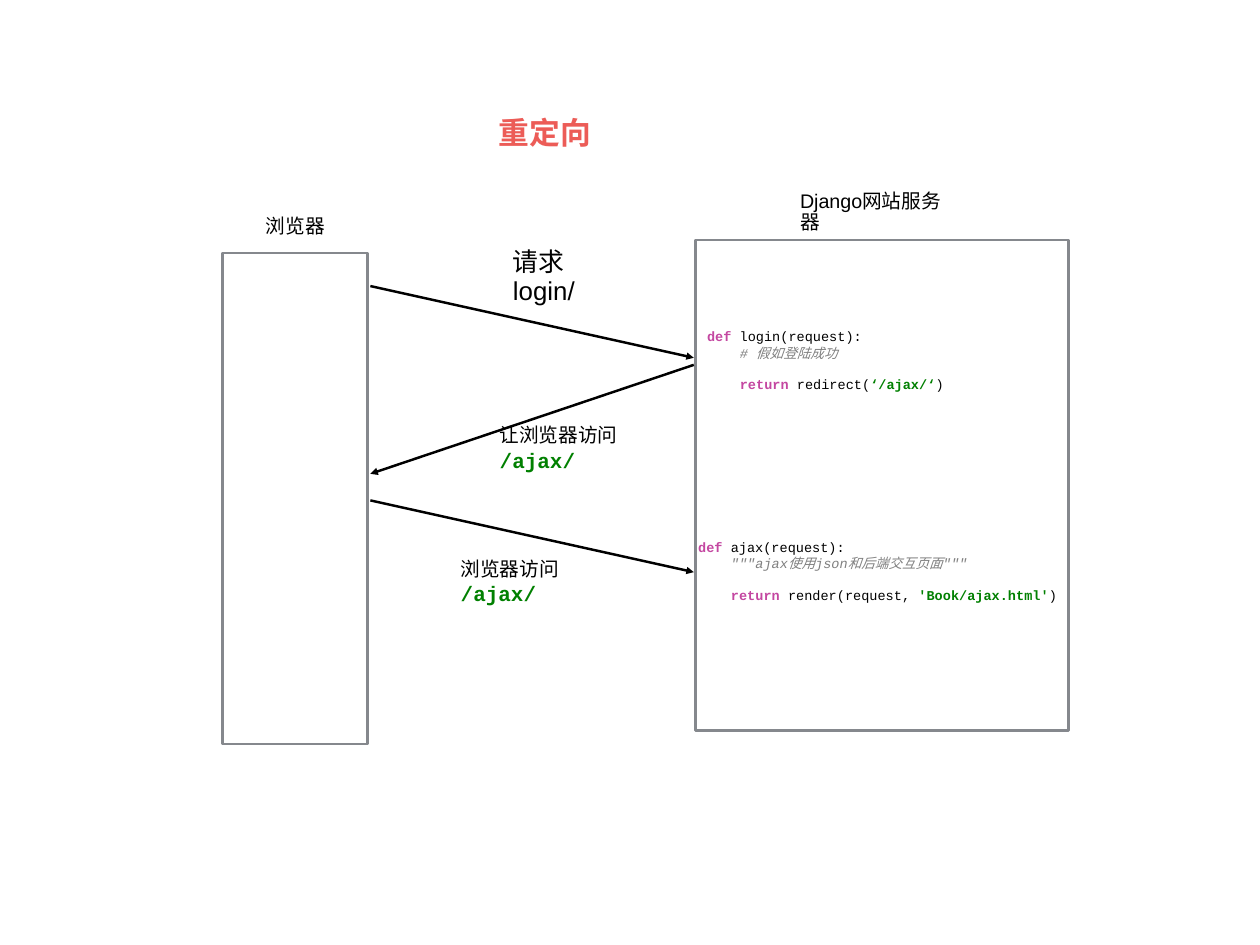
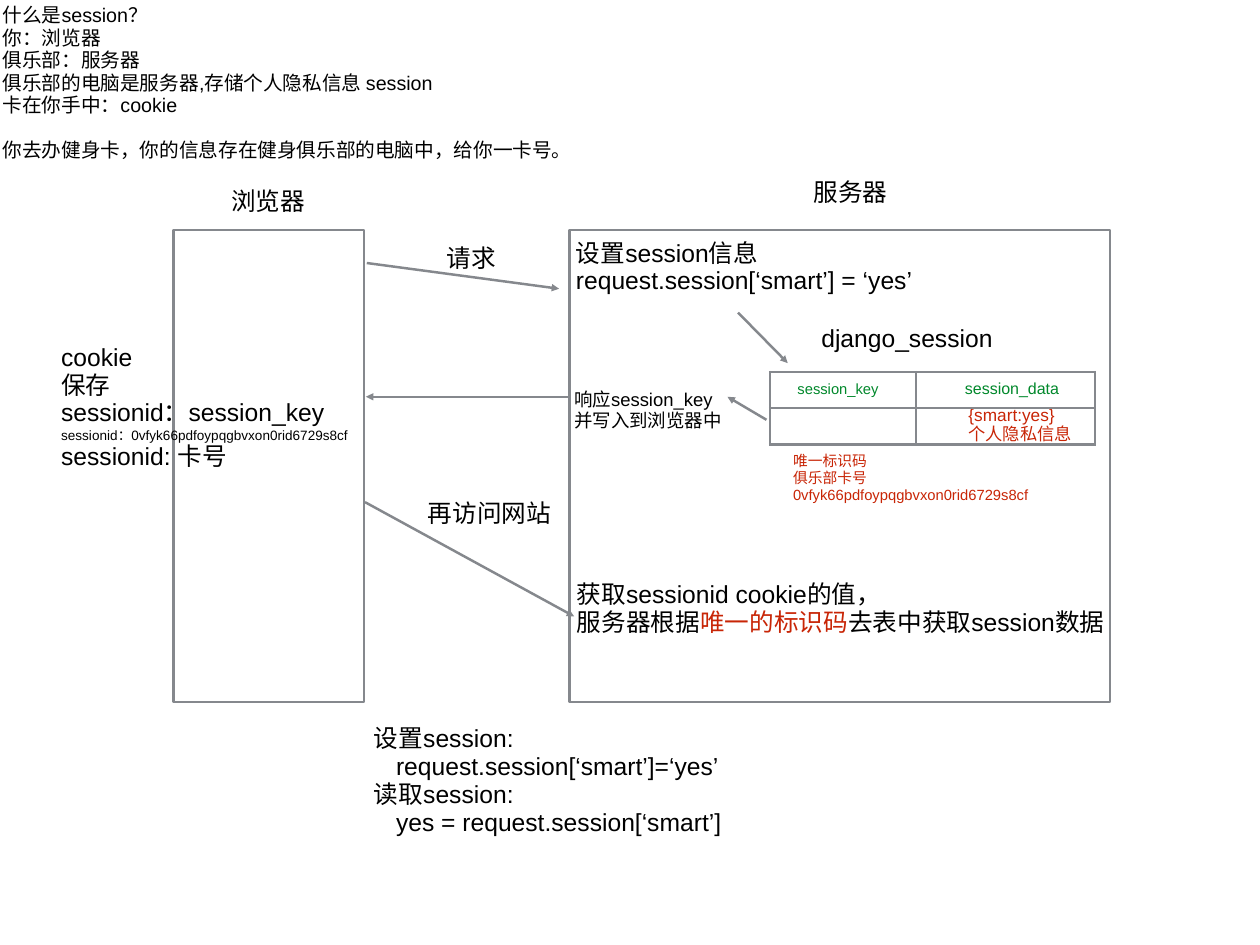
"""Build two slides on web redirects and on session handling."""
from dataclasses import dataclass, replace

from lxml.etree import SubElement
from pptx import Presentation
from pptx.dml.color import RGBColor
from pptx.enum.shapes import MSO_CONNECTOR, MSO_SHAPE
from pptx.enum.text import MSO_ANCHOR, MSO_AUTO_SIZE, PP_ALIGN
from pptx.oxml import parse_xml
from pptx.oxml.ns import nsdecls, qn
from pptx.util import Inches, Pt


@dataclass(frozen=True)
class Theme:
    black: str = "000000"
    grey: str = "85888D"
    title: str = "EC5C57"
    red: str = "C82506"
    header: str = "00882B"
    keyword: str = "C447A1"
    comment: str = "808080"
    string: str = "018001"
    sans: str = "Arial"
    mono: str = "Courier New"
    title_size: int = 25
    request_size: int = 21
    body_size: int = 20
    address_size: int = 17
    label_size: int = 16
    reply_size: int = 15
    value_size: int = 14
    data_size: int = 13
    note_size: int = 12
    code_size: int = 11
    line_width: int = 2
    inset: float = 0.06


THEME = Theme()


@dataclass(frozen=True)
class Style:
    size: int
    color: str = THEME.black
    font: str = THEME.sans
    bold: bool = False
    italic: bool = False


BODY = Style(THEME.body_size)
LABEL = Style(THEME.label_size)
NOTE = Style(THEME.note_size, THEME.red)
CODE = Style(THEME.code_size, font=THEME.mono)
KEYWORD = replace(CODE, color=THEME.keyword, bold=True)
COMMENT = replace(CODE, color=THEME.comment, italic=True)
STRING = replace(CODE, color=THEME.string, bold=True)
ADDRESS = replace(STRING, size=THEME.address_size)


@dataclass(frozen=True)
class Para:
    runs: tuple[tuple[str, Style], ...]
    indent: float = 0
    before: float = 1
    spacing: float = 0.9


@dataclass(frozen=True)
class Box:
    left: float
    top: float
    width: float
    height: float

    def lengths(self) -> tuple:
        return tuple(map(Inches, (self.left, self.top, self.width, self.height)))


@dataclass(frozen=True)
class Arrow:
    start: tuple[float, float]
    end: tuple[float, float]
    color: str = THEME.grey


@dataclass(frozen=True)
class Block:
    box: Box
    paras: list[Para]


def lines(style: Style, *texts: str) -> list[Para]:
    return [Para(((text, style),)) for text in texts]


def code_line(*runs: tuple[str, Style], indent: float = 0, before: float = 0) -> Para:
    return Para(runs, indent, before, 1.0)


def view_code(name: str, remark: str, call: str, argument: str) -> list[Para]:
    return [
        code_line(("def ", KEYWORD), (f"{name}(request):", CODE)),
        code_line((remark, COMMENT), indent=0.37),
        code_line(("return ", KEYWORD), (call, CODE), (argument, STRING), (")", CODE),
                  indent=0.37, before=12.5),
    ]


def set_font(font, style: Style) -> None:
    font.name, font.size = style.font, Pt(style.size)
    font.bold, font.italic = style.bold, style.italic
    font.color.rgb = RGBColor.from_string(style.color)


def write(tf, paras: list[Para]) -> None:
    for i, para in enumerate(paras):
        p = tf.paragraphs[0] if i == 0 else tf.add_paragraph()
        p.alignment = PP_ALIGN.LEFT
        p.line_spacing, p.space_before = para.spacing, Pt(para.before)
        if para.indent:
            pPr = p._p.get_or_add_pPr()
            pPr.set("marL", str(Inches(para.indent)))
            pPr.set("indent", "0")
        uniform = len({style for _, style in para.runs}) == 1
        if uniform:
            set_font(p.font, para.runs[0][1])
        for text, style in para.runs:
            r = p.add_run()
            r.text = text
            if not uniform:
                set_font(r.font, style)


def fill_frame(tf, paras: list[Para]) -> None:
    tf.auto_size, tf.word_wrap = MSO_AUTO_SIZE.NONE, True
    tf.vertical_anchor = MSO_ANCHOR.MIDDLE
    tf.margin_left = tf.margin_top = tf.margin_bottom = Inches(THEME.inset)
    tf.margin_right = 0
    write(tf, paras)


def add_title(s, block: Block) -> None:
    sp = s.shapes.title
    sp.left, sp.top, sp.width, sp.height = block.box.lengths()
    fill_frame(sp.text_frame, block.paras)


def add_block(s, block: Block) -> None:
    fill_frame(s.shapes.add_textbox(*block.box.lengths()).text_frame, block.paras)


def add_frame(s, box: Box) -> None:
    sp = s.shapes.add_shape(MSO_SHAPE.RECTANGLE, *box.lengths())
    sp.shadow.inherit = False
    sp.fill.background()
    sp.line.color.rgb = RGBColor.from_string(THEME.grey)
    sp.line.width = Pt(THEME.line_width)


def add_arrow(s, arrow: Arrow) -> None:
    ends = map(Inches, (*arrow.start, *arrow.end))
    cxn = s.shapes.add_connector(MSO_CONNECTOR.STRAIGHT, *ends)
    cxn.line.color.rgb = RGBColor.from_string(arrow.color)
    cxn.line.width = Pt(THEME.line_width)
    SubElement(cxn.line._get_or_add_ln(), qn("a:tailEnd"), type="triangle")
    SubElement(cxn._element.spPr, qn("a:effectLst"))


def add_border(cell) -> None:
    tcPr = cell._tc.get_or_add_tcPr()
    for i, side in enumerate("LRTB"):
        tcPr.insert(i, parse_xml(
            f'<a:ln{side} {nsdecls("a")} w="{Pt(THEME.line_width)}"><a:solidFill>'
            f'<a:srgbClr val="{THEME.grey}"/></a:solidFill></a:ln{side}>'))


def add_session_table(s, box: Box, widths: tuple[float, ...],
                      rows: list[list[tuple[float, list[Para]]]]) -> None:
    table = s.shapes.add_table(len(rows), len(widths), *box.lengths()).table
    table.first_row = table.horz_banding = False
    for column, width in zip(table.columns, widths):
        column.width = Inches(width)
    for row, cells in zip(table.rows, rows):
        row.height = Inches(box.height / len(rows))
        for cell, (margin, paras) in zip(row.cells, cells):
            cell.fill.background()
            add_border(cell)
            cell.margin_left = Inches(margin)
            cell.margin_right = cell.margin_top = cell.margin_bottom = 0
            cell.vertical_anchor = MSO_ANCHOR.MIDDLE
            write(cell.text_frame, paras)


def draw(s, frames: list[Box], arrows: list[Arrow], blocks: list[Block]) -> None:
    for frame in frames:
        add_frame(s, frame)
    for arrow in arrows:
        add_arrow(s, arrow)
    for block in blocks:
        add_block(s, block)


def redirect_slide(prs) -> None:
    s = prs.slides.add_slide(prs.slide_layouts[5])
    title = Style(THEME.title_size, THEME.title, bold=True)
    add_title(s, Block(Box(5.57, 1.21, 1.17, 0.61), lines(title, "重定向")))
    address = [code_line(("/ajax/", ADDRESS))]
    left, right = 4.18, 7.83
    draw(
        s,
        [Box(2.51, 2.86, 1.64, 5.54), Box(7.85, 2.71, 4.21, 5.54)],
        [Arrow((left, 3.23), (right, 4.04), THEME.black),
         Arrow((right, 4.12), (left, 5.35), THEME.black),
         Arrow((left, 5.65), (right, 6.46), THEME.black)],
        [
            Block(Box(2.94, 2.36, 0.79, 0.42), lines(LABEL, "浏览器")),
            Block(Box(8.97, 2.19, 1.8, 0.42), lines(LABEL, "Django网站服务器")),
            Block(Box(5.73, 2.72, 0.84, 0.83),
                  lines(Style(THEME.request_size), "请求", "login/")),
            Block(Box(7.92, 3.63, 2.79, 0.88),
                  view_code("login", "# 假如登陆成功", "redirect(", "‘/ajax/‘")),
            Block(Box(5.58, 4.74, 1.52, 0.66), lines(LABEL, "让浏览器访问") + address),
            Block(Box(5.14, 6.25, 1.3, 0.66), lines(LABEL, "浏览器访问") + address),
            Block(Box(7.82, 5.92, 4.26, 1.06),
                  view_code("ajax", '"""ajax使用json和后端交互页面"""',
                            "render(request, ", "'Book/ajax.html'")),
        ],
    )


def session_slide(prs) -> None:
    s = prs.slides.add_slide(prs.slide_layouts[6])
    intro = lines(LABEL, "什么是session？", "你：浏览器", "俱乐部：服务器",
                  "俱乐部的电脑是服务器,存储个人隐私信息 session", "卡在你手中：cookie")
    card = Para((("你去办健身卡，你的信息存在健身俱乐部的电脑中，给你一卡号。", LABEL),), before=19)
    key = "0vfyk66pdfoypqgbvxon0rid6729s8cf"
    cookie = (lines(BODY, "cookie", "保存", "sessionid：session_key")
              + lines(Style(THEME.code_size), f"sessionid：{key}")
              + lines(BODY, "sessionid: 卡号"))
    lookup = Para((("服务器根据", BODY), ("唯一的标识码", replace(BODY, color=THEME.red)),
                   ("去表中获取session数据", BODY)))
    usage = [Para(((text, BODY),), indent) for text, indent in (
        ("设置session:", 0), ("request.session[‘smart’]=‘yes’", 0.25),
        ("读取session:", 0), ("yes = request.session[‘smart’]", 0.25))]
    draw(
        s,
        [Box(1.96, 2.6, 2.15, 5.33), Box(6.43, 2.6, 6.1, 5.33)],
        [Arrow((4.14, 2.97), (6.31, 3.26)), Arrow((8.33, 3.53), (8.89, 4.1)),
         Arrow((8.65, 4.74), (8.21, 4.48)), Arrow((6.41, 4.48), (4.13, 4.48)),
         Arrow((4.12, 5.67), (6.48, 6.96))],
        [
            Block(Box(-0.03, -0.11, 6.57, 2.11), intro + [card]),
            Block(Box(2.55, 2.04, 0.96, 0.5), lines(BODY, "浏览器")),
            Block(Box(9.12, 1.94, 0.96, 0.5), lines(BODY, "服务器")),
            Block(Box(4.98, 2.68, 0.68, 0.5), lines(BODY, "请求")),
            Block(Box(6.44, 2.62, 3.98, 0.81),
                  lines(BODY, "设置session信息", "request.session[‘smart’] = ‘yes’")),
            Block(Box(9.21, 3.61, 2.07, 0.44), lines(BODY, "django_session")),
            Block(Box(8.89, 5.06, 2.88, 0.69), lines(NOTE, "唯一标识码", "俱乐部卡号", key)),
            Block(Box(6.42, 4.3, 1.79, 0.68),
                  lines(Style(THEME.reply_size), "响应session_key", "并写入到浏览器中")),
            Block(Box(0.63, 3.83, 3.49, 1.55), cookie),
            Block(Box(4.77, 5.56, 1.51, 0.5), lines(BODY, "再访问网站")),
            Block(Box(6.45, 6.45, 6.07, 0.86),
                  lines(BODY, "获取sessionid cookie的值，") + [lookup]),
            Block(Box(4.16, 8.08, 4.15, 1.49), usage),
        ],
    )
    value = Style(THEME.value_size, THEME.red)
    stored = [replace(p, spacing=0.8, before=0)
              for p in lines(value, "{smart:yes}", "个人隐私信息")]
    add_session_table(s, Box(8.69, 4.2, 3.67, 0.82), (1.65, 2.02), [
        [(0.31, lines(Style(THEME.note_size, THEME.header), "session_key")),
         (0.55, lines(Style(THEME.data_size, THEME.header), "session_data"))],
        [(0, []), (0.59, stored)],
    ])


def main() -> None:
    prs = Presentation()
    prs.slide_width, prs.slide_height = Inches(14.22), Inches(10.67)
    redirect_slide(prs)
    session_slide(prs)
    prs.save("out.pptx")


if __name__ == "__main__":
    main()
